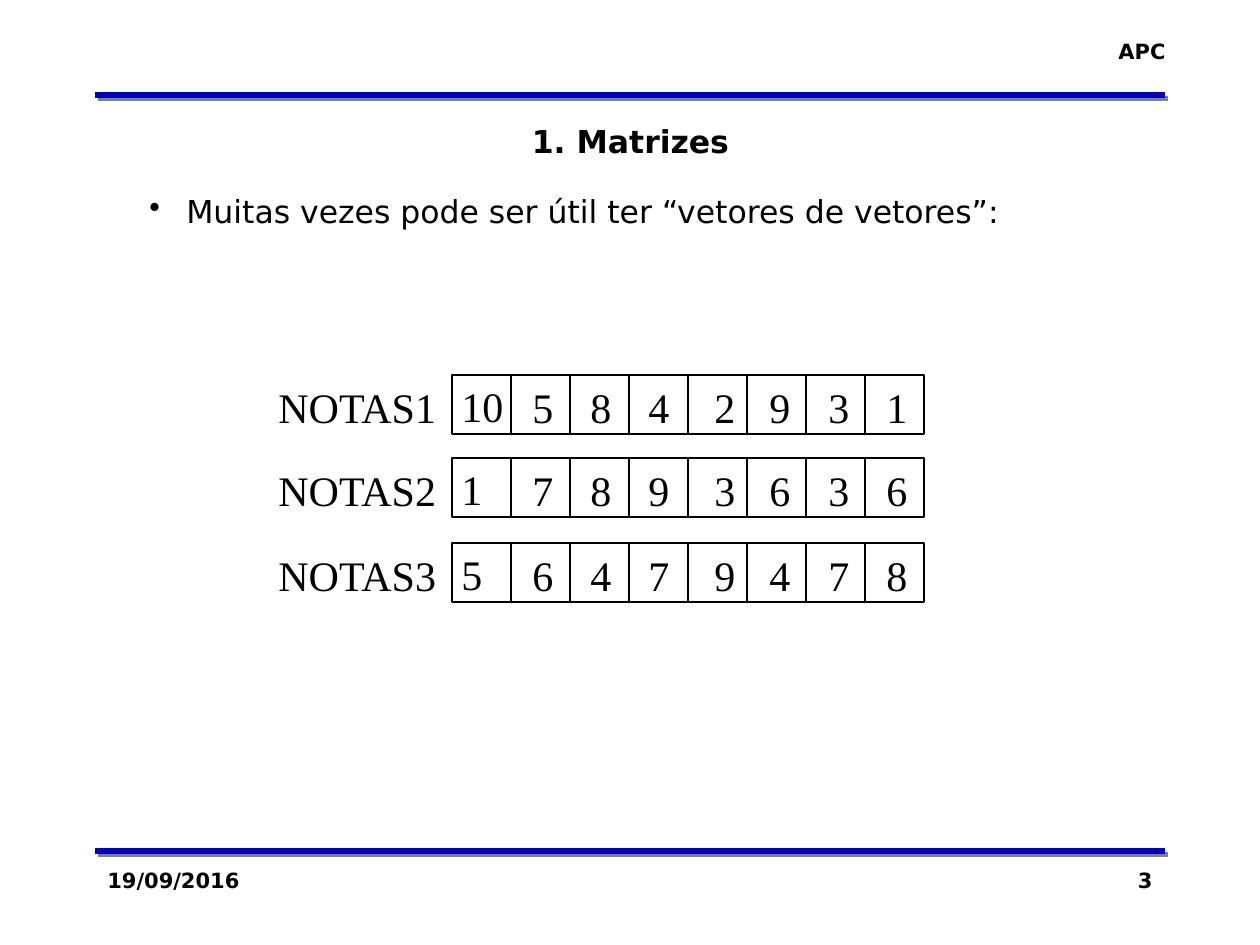
from dataclasses import dataclass

from lxml.etree import SubElement
from pptx import Presentation
from pptx.dml.color import RGBColor
from pptx.enum.shapes import MSO_CONNECTOR, MSO_SHAPE
from pptx.enum.text import MSO_ANCHOR, MSO_AUTO_SIZE, PP_ALIGN
from pptx.oxml.ns import qn
from pptx.util import Emu, Pt

PX_PER_INCH = 126
COLOURS = {"text": "000000", "rule": "0000CC", "shadow": "808080", "cell": "FFFFFF"}
STRONG = {"name": "DejaVu Sans", "size": Pt(12), "bold": True}
TITLE = {"name": "DejaVu Sans", "size": Pt(18), "bold": True}
BODY = {"name": "DejaVu Sans", "size": Pt(18), "bold": False}
SERIF = {"name": "Times New Roman", "size": Pt(24), "bold": False}

# Geometry shared by the vectors
ROW_LEFT, ROW_WIDTH, CELL_SIZE = 452, 473, 59
LABEL_LEFT, LABEL_WIDTH, TEXT_HEIGHT = 266, 185, 64
VALUE_LEFTS = (449, 520, 578, 636, 702, 757, 816, 874)


@dataclass
class Box:
    left: int
    top: int
    width: int
    height: int


@dataclass
class Label:
    text: str
    box: Box
    font: dict
    align: PP_ALIGN = PP_ALIGN.LEFT
    wrap: bool = True
    grow: bool = False


@dataclass
class Vector:
    name: str
    top: int
    values: tuple


LABELS = (
    Label("APC", Box(1105, 32, 73, 38), STRONG, PP_ALIGN.RIGHT, False, True),
    Label("19/09/2016", Box(95, 861, 262, 63), STRONG),
    Label("3", Box(903, 861, 262, 63), STRONG, PP_ALIGN.RIGHT),
)
VECTORS = (
    Vector("NOTAS1", 375, (10, 5, 8, 4, 2, 9, 3, 1)),
    Vector("NOTAS2", 458, (1, 7, 8, 9, 3, 6, 3, 6)),
    Vector("NOTAS3", 543, (5, 6, 4, 7, 9, 4, 7, 8)),
)


def px(length: int) -> Emu:
    return Emu(round(length * 914400 / PX_PER_INCH))


def colour(name: str) -> RGBColor:
    return RGBColor.from_string(COLOURS[name])


def fill_text(shape, label: Label) -> None:
    """Write the label into a shape and apply its format."""
    frame = shape.text_frame
    frame.text = label.text
    frame_format = {
        "word_wrap": label.wrap,
        "vertical_anchor": MSO_ANCHOR.TOP,
        "auto_size": MSO_AUTO_SIZE.SHAPE_TO_FIT_TEXT if label.grow else MSO_AUTO_SIZE.NONE,
    }
    for name, value in frame_format.items():
        setattr(frame, name, value)
    paragraph = frame.paragraphs[0]
    paragraph.alignment = label.align
    font = paragraph.runs[0].font
    for name, value in label.font.items():
        setattr(font, name, value)
    font.color.rgb = colour("text")


def box_lengths(box: Box) -> tuple:
    return px(box.left), px(box.top), px(box.width), px(box.height)


def add_label(slide, label: Label):
    shape = slide.shapes.add_textbox(*box_lengths(label.box))
    fill_text(shape, label)
    return shape


def add_rule(slide, top: int) -> None:
    """Draw a horizontal rule with a grey shadow."""
    rule = slide.shapes.add_connector(
        MSO_CONNECTOR.STRAIGHT, px(95), px(top), px(1165), px(top))
    rule.line.color.rgb = colour("rule")
    rule.line.width = Pt(3)
    effects = SubElement(rule._element.spPr, qn("a:effectLst"))
    shadow = SubElement(effects, qn("a:outerShdw"), dist=str(Pt(2.8)),
                        dir="2700000", algn="ctr", rotWithShape="0")
    SubElement(shadow, qn("a:srgbClr"), val=COLOURS["shadow"])


def add_bullet(shape, indent: int) -> None:
    properties = shape.text_frame.paragraphs[0]._p.get_or_add_pPr()
    properties.set("marL", str(px(indent)))
    properties.set("indent", str(-px(indent)))
    SubElement(properties, qn("a:buChar"), char="•")


def add_cell(slide, box: Box) -> None:
    cell = slide.shapes.add_shape(MSO_SHAPE.RECTANGLE, *box_lengths(box))
    cell.shadow.inherit = False
    cell.fill.solid()
    cell.fill.fore_color.rgb = colour("cell")
    cell.line.color.rgb = colour("text")
    cell.line.width = Pt(0.75)


def add_vector(slide, vector: Vector) -> None:
    """Draw the cells of a vector, then its values and its name."""
    count = len(vector.values)
    for index in range(count):
        left = ROW_LEFT + ROW_WIDTH * index // count
        add_cell(slide, Box(left, vector.top, CELL_SIZE, CELL_SIZE))
    for index, (left, value) in enumerate(zip(VALUE_LEFTS, vector.values)):
        top = vector.top if index else vector.top - 1
        width = 68 if value > 9 else 47
        add_label(slide, Label(str(value), Box(left, top, width, TEXT_HEIGHT),
                               SERIF, wrap=False, grow=True))
    add_label(slide, Label(vector.name, Box(LABEL_LEFT, vector.top, LABEL_WIDTH, TEXT_HEIGHT),
                           SERIF, wrap=False, grow=True))


def main() -> None:
    presentation = Presentation()
    presentation.slide_width, presentation.slide_height = px(1260), px(945)
    slide = presentation.slides.add_slide(presentation.slide_layouts[5])

    # Title
    title = slide.shapes.title
    title_label = Label("1. Matrizes", Box(95, 116, 1071, 50), TITLE, PP_ALIGN.CENTER, grow=True)
    title.left, title.top, title.width, title.height = box_lengths(title_label.box)
    fill_text(title, title_label)

    # Header and footer
    for top in (95, 851):
        add_rule(slide, top)
    for label in LABELS:
        add_label(slide, label)

    # Introduction
    introduction = add_label(slide, Label(
        "Muitas vezes pode ser útil ter “vetores de vetores”:",
        Box(137, 186, 955, 50), BODY, PP_ALIGN.JUSTIFY, grow=True))
    add_bullet(introduction, 37)

    # Vectors
    for vector in VECTORS:
        add_vector(slide, vector)

    presentation.save("out.pptx")


if __name__ == "__main__":
    main()
